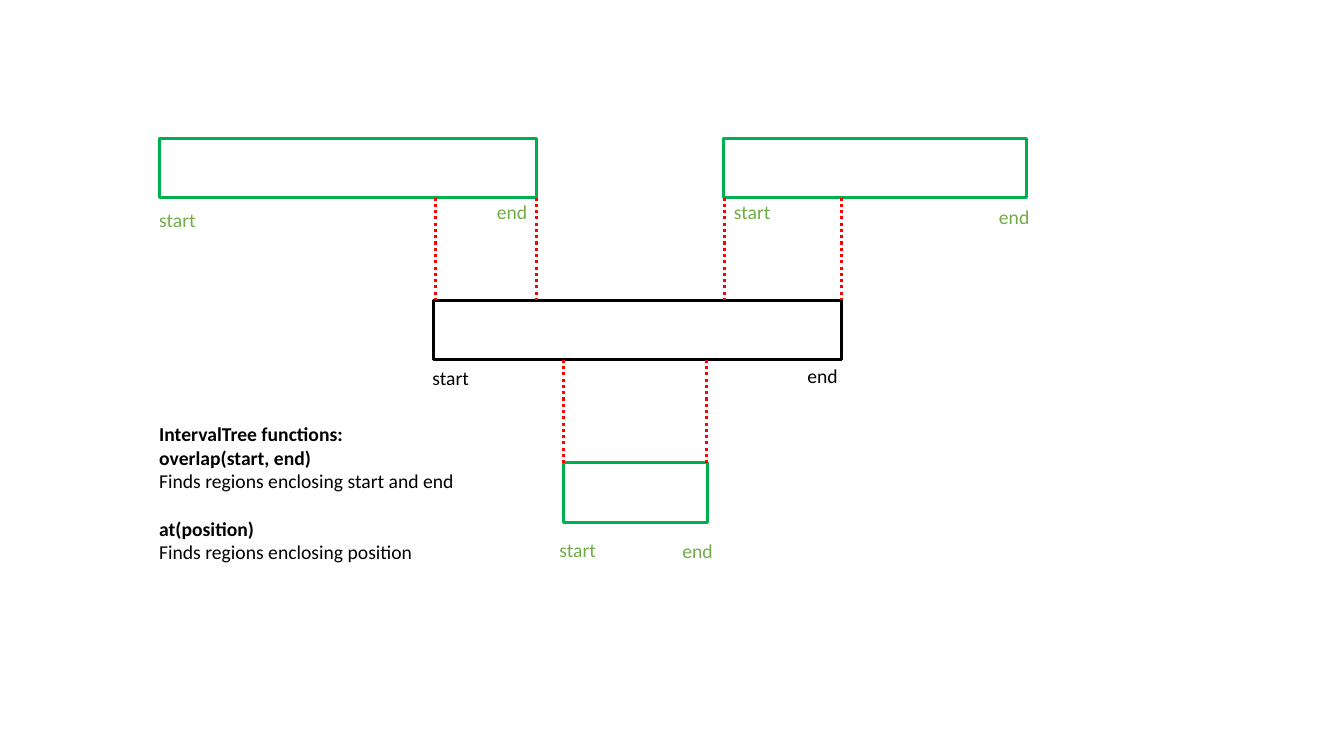
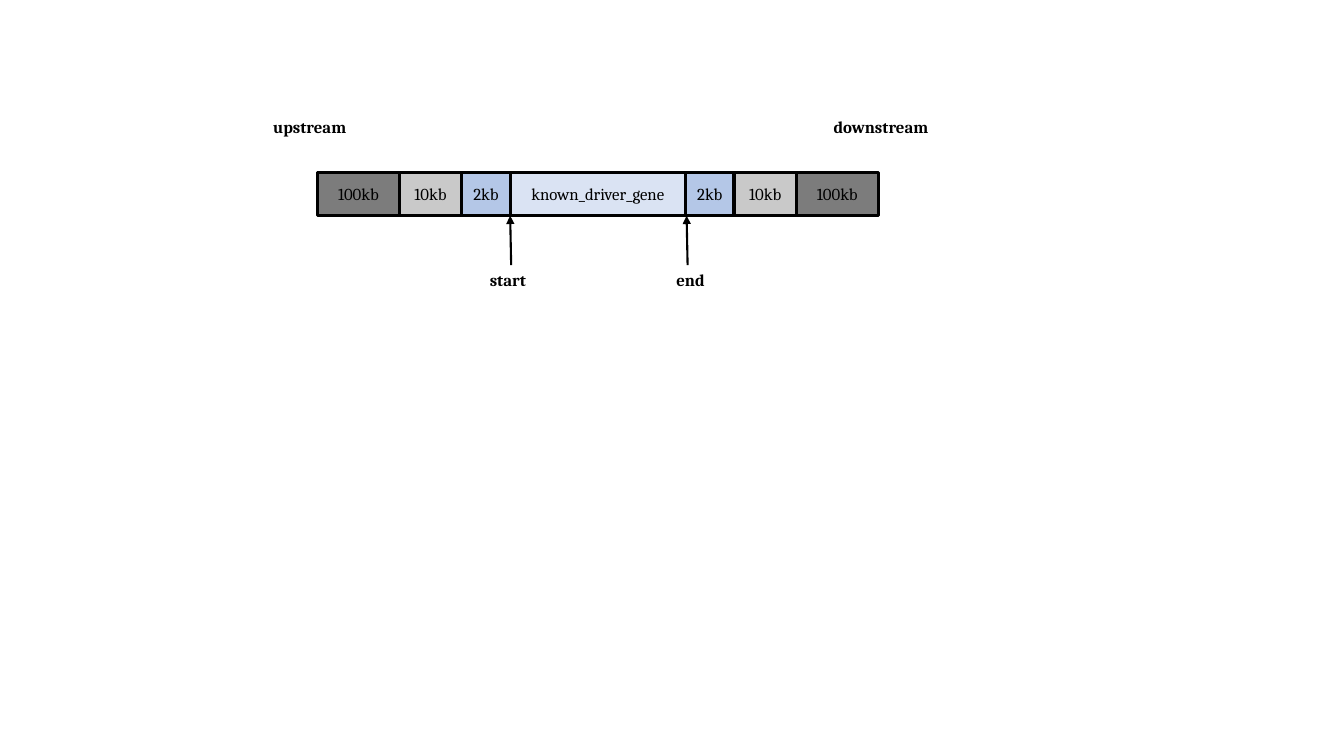
import pptx
import pptx.dml.color
import pptx.enum.dml
import pptx.enum.shapes
import pptx.enum.text
import pptx.oxml.ns
import pptx.util
from lxml import etree

Inches = pptx.util.Inches
Pt = pptx.util.Pt
RGBColor = pptx.dml.color.RGBColor

BLACK = RGBColor(0x00, 0x00, 0x00)
RED = RGBColor(0xFF, 0x00, 0x00)
GREEN = RGBColor(0x00, 0xB0, 0x50)
LABEL_GREEN = RGBColor(0x70, 0xAD, 0x47)
GENE_BLUE = RGBColor(0xDA, 0xE3, 0xF3)
NEAR_BLUE = RGBColor(0xB4, 0xC7, 0xE7)
MID_GRAY = RGBColor(0xC9, 0xC9, 0xC9)
FAR_GRAY = RGBColor(0x7C, 0x7C, 0x7C)
OUTLINE = Pt(2.25)
CALIBRI = ("Calibri", 14)
CAMBRIA = ("Cambria", 12)


def add_box(shapes, left, top, width, height, lines=(), style=CALIBRI,
            color=BLACK, outline=None, fill=None):
    """Add a rectangle if an outline is given, else a text box; lines hold (text, bold, space before)."""
    at = [Inches(length) for length in (left, top, width, height)]
    if outline is None:
        box = shapes.add_textbox(*at)
        box.text_frame.auto_size = pptx.enum.text.MSO_AUTO_SIZE.SHAPE_TO_FIT_TEXT
    else:
        box = shapes.add_shape(pptx.enum.shapes.MSO_SHAPE.RECTANGLE, *at)
        box.shadow.inherit = False
        box.line.color.rgb = outline
        box.line.width = OUTLINE
        box.text_frame.vertical_anchor = pptx.enum.text.MSO_ANCHOR.MIDDLE
        if fill is None:
            box.fill.background()
        else:
            box.fill.solid()
            box.fill.fore_color.rgb = fill
    box.text_frame.word_wrap = True
    for index, (text, bold, space_before) in enumerate(lines):
        paragraph = box.text_frame.add_paragraph() if index else box.text_frame.paragraphs[0]
        paragraph.space_before = Pt(space_before)
        if outline is not None:
            paragraph.alignment = pptx.enum.text.PP_ALIGN.CENTER
        run = paragraph.add_run()
        run.text = text
        run.font.name, run.font.size = style[0], Pt(style[1])
        run.font.bold = bold
        run.font.color.rgb = color


def add_line(shapes, start, end, color, width):
    """Add a straight line without shadow between two points and return its line format."""
    connector = shapes.add_connector(
        pptx.enum.shapes.MSO_CONNECTOR.STRAIGHT,
        *[Inches(length) for length in (*start, *end)])
    connector.line.color.rgb = color
    connector.line.width = width
    etree.SubElement(connector._element.spPr, pptx.oxml.ns.qn("a:effectLst"))
    return connector.line


deck = pptx.Presentation()
deck.slide_width = Inches(13.33)
deck.slide_height = Inches(7.5)
blank = deck.slide_layouts[6]

# Slide 1: interval overlaps
overlap = deck.slides.add_slide(blank).shapes
BAR_HEIGHT = 0.59
ROW_STEP = 1.61
row_tops = [1.37 + ROW_STEP * row for row in range(3)]

for left, row, width, outline in [
    (4.3, 1, 4.05, BLACK),
    (1.58, 0, 3.74, GREEN),
    (7.18, 0, 3, GREEN),
    (5.59, 2, 1.43, GREEN),
]:
    add_box(overlap, left, row_tops[row], width, BAR_HEIGHT, outline=outline)

for upper_row, positions in enumerate([(5.32, 4.32, 7.19, 8.35), (5.59, 7.01)]):
    for x in positions:
        guide = add_line(overlap, (x, row_tops[upper_row] + BAR_HEIGHT),
                         (x, row_tops[upper_row + 1]), RED, OUTLINE)
        guide.dash_style = pptx.enum.dml.MSO_LINE.ROUND_DOT

for text, left, top, color in [
    ("start", 1.48, 2.01, LABEL_GREEN),
    ("end", 4.83, 1.93, LABEL_GREEN),
    ("start", 7.18, 1.93, LABEL_GREEN),
    ("end", 9.81, 1.98, LABEL_GREEN),
    ("start", 5.45, 5.29, LABEL_GREEN),
    ("end", 6.67, 5.3, LABEL_GREEN),
    ("start", 4.19, 3.58, BLACK),
    ("end", 7.91, 3.56, BLACK),
]:
    add_box(overlap, left, top, 0.76, 0.34, [(text, False, 0)], color=color)

add_box(overlap, 1.48, 4.14, 3.32, 1.51, [
    ("IntervalTree functions:", True, 0),
    ("overlap(start, end)", True, 0),
    ("Finds regions enclosing start and end", False, 0),
    ("at(position)", True, 17),
    ("Finds regions enclosing position", False, 0),
])

# Slide 2: windows around a driver gene
gene_map = deck.slides.add_slide(blank).shapes.add_group_shape().shapes
MAP_TOP, MAP_HEIGHT = 1.71, 0.43
flank = [("100kb", 0.81, FAR_GRAY), ("10kb", 0.62, MID_GRAY), ("2kb", 0.48, NEAR_BLUE)]
segment_left = 3.15
for text, width, fill in [*flank, ("known_driver_gene", 1.74, GENE_BLUE), *reversed(flank)]:
    add_box(gene_map, segment_left, MAP_TOP, width, MAP_HEIGHT, [(text, False, 0)],
            CAMBRIA, outline=BLACK, fill=fill)
    segment_left += width

for text, left, top, width in [
    ("upstream", 2.61, 1.11, 1.09),
    ("downstream", 8.17, 1.11, 1.22),
    ("start", 4.76, 2.63, 0.63),
    ("end", 6.61, 2.63, 0.63),
]:
    add_box(gene_map, left, top, width, 0.3, [(text, True, 0)], CAMBRIA)

for foot, tip in [(5.07, 5.06), (6.82, 6.81)]:
    pointer = add_line(gene_map, (foot, 2.63), (tip, MAP_TOP + MAP_HEIGHT), BLACK, Pt(1.5))
    etree.SubElement(pointer._get_or_add_ln(), pptx.oxml.ns.qn("a:tailEnd"), type="triangle")

deck.save("out.pptx")
